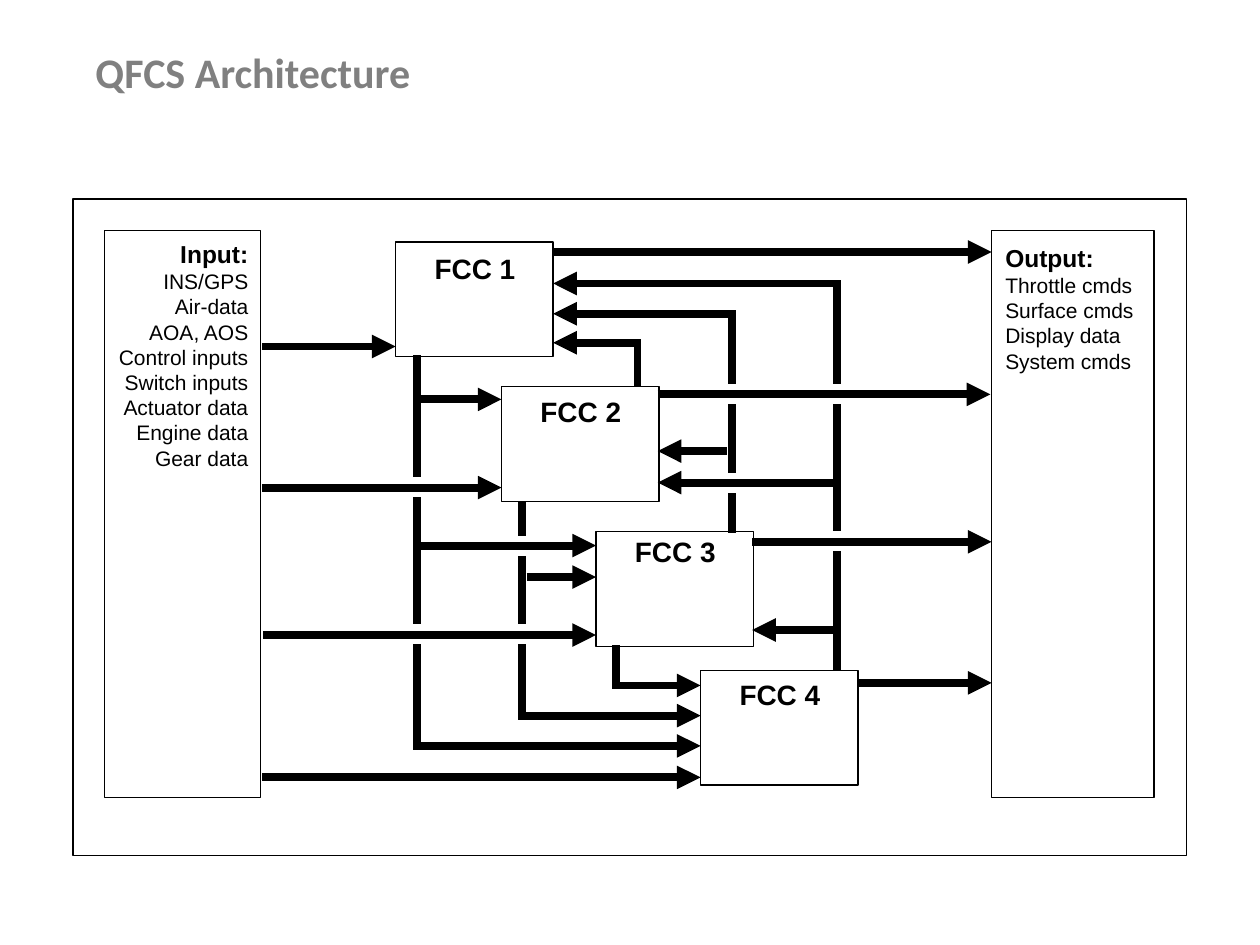
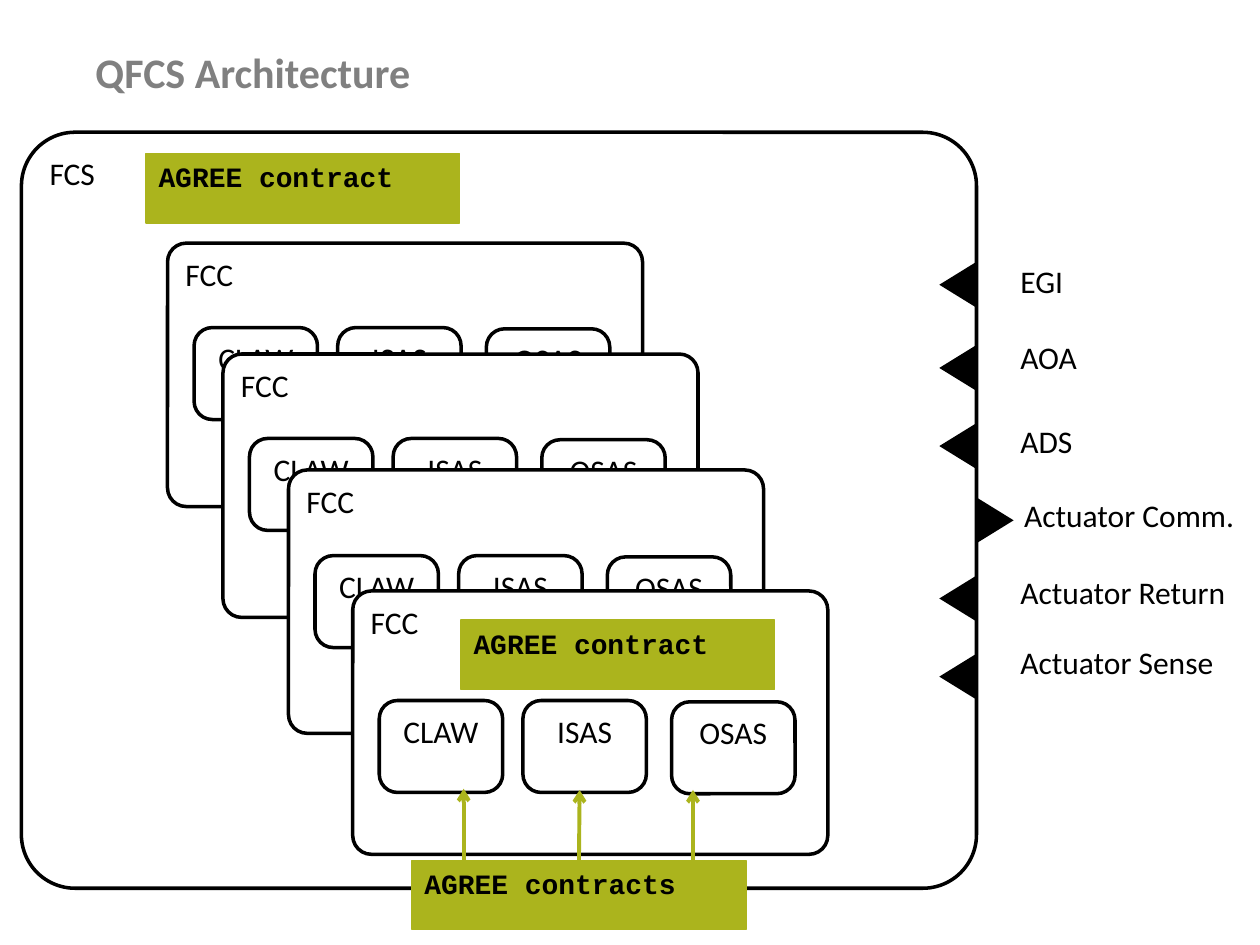
"""Build the two QFCS architecture slides."""
from lxml.etree import SubElement
from pptx import Presentation
from pptx.dml.color import RGBColor
from pptx.enum.shapes import MSO_CONNECTOR, MSO_SHAPE
from pptx.enum.text import MSO_ANCHOR, PP_ALIGN
from pptx.oxml.ns import qn
from pptx.util import Inches, Pt

BLACK, WHITE, GREY, GREEN = "000000", "FFFFFF", "808080", "ABB41D"
TITLE = {"name": "Calibri", "size": Pt(24), "bold": True}
LABEL = {"name": "Calibri", "size": Pt(18), "bold": False}
CODE = {"name": "Courier New", "size": Pt(16), "bold": True}
NAME = {"name": "Arial", "size": Pt(16), "bold": True}
HEAD = {"name": "Arial", "size": Pt(14), "bold": True}
ITEM = {"name": "Arial", "size": Pt(12), "bold": False}
FRAME = {"word_wrap": True, "vertical_anchor": MSO_ANCHOR.TOP}
TIGHT = {"margin_left": 0, "margin_right": 0}


def box(s, kind, at, lines=(), fill=None, line=None, width=0.75, color=BLACK,
        align=PP_ALIGN.LEFT, adj=None, frame={}):
    """Add a preset shape, or a text box when kind is None."""
    at = [Inches(v) for v in at]
    if kind is None:
        sp = s.shapes.add_textbox(*at)
    else:
        sp = s.shapes.add_shape(kind, *at)
        sp.shadow.inherit = False
        for part, c in ((sp.fill, fill), (sp.line.fill, line)):
            if c:
                part.solid()
                part.fore_color.rgb = RGBColor.from_string(c)
            else:
                part.background()
        if line:
            sp.line.width = Pt(width)
        if adj:
            sp.adjustments[0] = adj
    tf = sp.text_frame
    for k, v in {**FRAME, **frame}.items():
        setattr(tf, k, v)
    for i, (text, fmt) in enumerate(lines):
        p = tf.add_paragraph() if i else tf.paragraphs[0]
        p.alignment = align
        r = p.add_run()
        r.text = text
        for k, v in fmt.items():
            setattr(r.font, k, v)
        r.font.color.rgb = RGBColor.from_string(color)
    return sp


def arrow(s, pts, color=BLACK, width=4.5, head="triangle"):
    """Draw an arrow through two or more points."""
    pts = [(Inches(x), Inches(y)) for x, y in pts]
    if len(pts) == 2:
        sp = s.shapes.add_connector(MSO_CONNECTOR.STRAIGHT, *pts[0], *pts[1])
        SubElement(sp._element.spPr, qn("a:effectLst"))
    else:
        fb = s.shapes.build_freeform(*pts[0])
        fb.add_line_segments(pts[1:], close=False)
        sp = fb.convert_to_shape()
        sp.shadow.inherit = False
        sp.fill.background()
    sp.line.color.rgb = RGBColor.from_string(color)
    sp.line.width = Pt(width)
    ln = sp.line._get_or_add_ln()
    if len(pts) > 2:
        SubElement(ln, qn("a:miter")).set("lim", "800000")
    SubElement(ln, qn("a:tailEnd")).set("type", head)
    return sp


prs = Presentation()
prs.slide_width, prs.slide_height = Inches(10), Inches(7.5)
slides = [prs.slides.add_slide(prs.slide_layouts[6]) for _ in range(2)]
for s in slides:
    box(s, None, (0.66, 0.32, 8.5, 0.63), [("QFCS Architecture", TITLE)], color=GREY)

s = slides[0]
inputs = ["INS/GPS", "Air-data", "AOA, AOS", "Control inputs", "Switch inputs",
          "Actuator data", "Engine data", "Gear data"]
outputs = ["Throttle cmds", "Surface cmds", "Display data", "System cmds"]
for at in ((0.58, 1.58, 8.84, 5.21), (0.83, 1.83, 1.24, 4.5), (7.87, 1.83, 1.29, 4.5)):
    box(s, MSO_SHAPE.RECTANGLE, at, line=BLACK)
box(s, None, (0.76, 1.85, 1.31, 2.15),
    [("Input:", HEAD)] + [(t, ITEM) for t in inputs], align=PP_ALIGN.RIGHT)
box(s, None, (7.88, 1.88, 1.28, 1.14),
    [("Output:", HEAD)] + [(t, ITEM) for t in outputs])

computers = [(3.14, 1.92, 1.95), (3.98, 3.07, 3.08), (4.73, 4.22, 4.19), (5.56, 5.32, 5.33)]
for i, (x, y, text_y) in enumerate(computers, 1):
    box(s, MSO_SHAPE.RECTANGLE, (x, y, 1.25, 0.91), line=BLACK)
    box(s, None, (x, text_y, 1.26, 0.37), [(f"FCC {i}", NAME)], align=PP_ALIGN.CENTER)

for x, y, end_y in ((3.31, 2.82, 5.92), (4.14, 3.98, 5.68), (4.89, 5.12, 5.44)):
    arrow(s, [(x, y), (x, end_y), (5.56, end_y)])
for x, y, end_y in ((6.64, 5.32, 2.25), (5.81, 4.23, 2.49), (5.06, 3.07, 2.72)):
    arrow(s, [(x, y), (x, end_y), (4.39, end_y)])

for x, y in ((3.25, 3.8), (5.74, 3.77), (5.74, 3.06), (6.58, 3.06),
             (4.08, 4.27), (3.25, 4.97), (4.08, 4.97), (6.58, 4.23)):
    box(s, MSO_SHAPE.RECTANGLE, (x, y, 0.12, 0.13), fill=WHITE, line=WHITE, width=2)

for x1, x2, y in ((2.08, 3.14, 2.75), (2.08, 3.98, 3.87), (2.09, 4.73, 5.04),
                  (2.08, 5.56, 6.17), (4.39, 7.87, 2), (5.22, 7.86, 3.13),
                  (5.97, 7.87, 4.3), (6.81, 7.87, 5.42), (3.31, 3.98, 3.17),
                  (3.31, 4.73, 4.33), (4.18, 4.73, 4.58), (5.77, 5.22, 3.58),
                  (6.64, 5.22, 3.83), (6.64, 5.97, 5)):
    arrow(s, [(x1, y), (x2, y)])

s = slides[1]
box(s, MSO_SHAPE.ROUNDED_RECTANGLE, (0.17, 1.05, 7.58, 6), [("FCS", LABEL)],
    line=BLACK, width=2, adj=0.071)
for x, y, unit_y in ((1.33, 1.93, 2.6), (1.77, 2.81, 3.48), (2.29, 3.73, 4.41), (2.8, 4.69, 5.56)):
    box(s, MSO_SHAPE.ROUNDED_RECTANGLE, (x, y, 3.77, 2.09), [("FCC", LABEL)],
        fill=WHITE, line=BLACK, width=2, adj=0.071)
    for unit, dx, dy in (("CLAW", 0.21, 0), ("ISAS", 1.35, 0), ("OSAS", 2.53, 0.01)):
        box(s, MSO_SHAPE.ROUNDED_RECTANGLE, (x + dx, unit_y + dy, 0.98, 0.73),
            [(unit, LABEL)], fill=WHITE, line=BLACK, width=2, adj=0.198,
            align=PP_ALIGN.CENTER, frame=TIGHT)

ports = [("EGI", 8, 2.03, 7.42, 2.11, 270), ("AOA", 8, 2.63, 7.42, 2.77, 270),
         ("ADS", 8, 3.3, 7.42, 3.39, 270), ("Actuator Comm.", 8.03, 3.89, 7.71, 3.98, 90),
         ("Actuator Return", 8, 4.5, 7.42, 4.6, 270),
         ("Actuator Sense", 8, 5.05, 7.42, 5.22, 270)]
for text, x, y, port_x, port_y, turn in ports:
    box(s, None, (x, y, 2.3, 0.41), [(text, LABEL)])
    sp = box(s, MSO_SHAPE.ISOSCELES_TRIANGLE, (port_x, port_y, 0.37, 0.3), fill=BLACK)
    sp.rotation = turn

for text, x, y, w in (("AGREE contract", 1.16, 1.22, 2.49), ("AGREE contract", 3.66, 4.92, 2.49),
                      ("AGREE contracts", 3.27, 6.83, 2.65)):
    contract = box(s, MSO_SHAPE.RECTANGLE, (x, y, w, 0.55), [(text, CODE)],
                   fill=GREEN, line=GREEN)
for x1, x2, y in ((3.68, 3.68, 6.26), (4.59, 4.6, 6.27), (5.5, 5.5, 6.27)):
    sp = arrow(s, [(x1, 6.83), (x2, y)], GREEN, 2.25, "arrow")
    if x1 == 4.59:
        sp.begin_connect(contract, 0)

prs.save("out.pptx")
